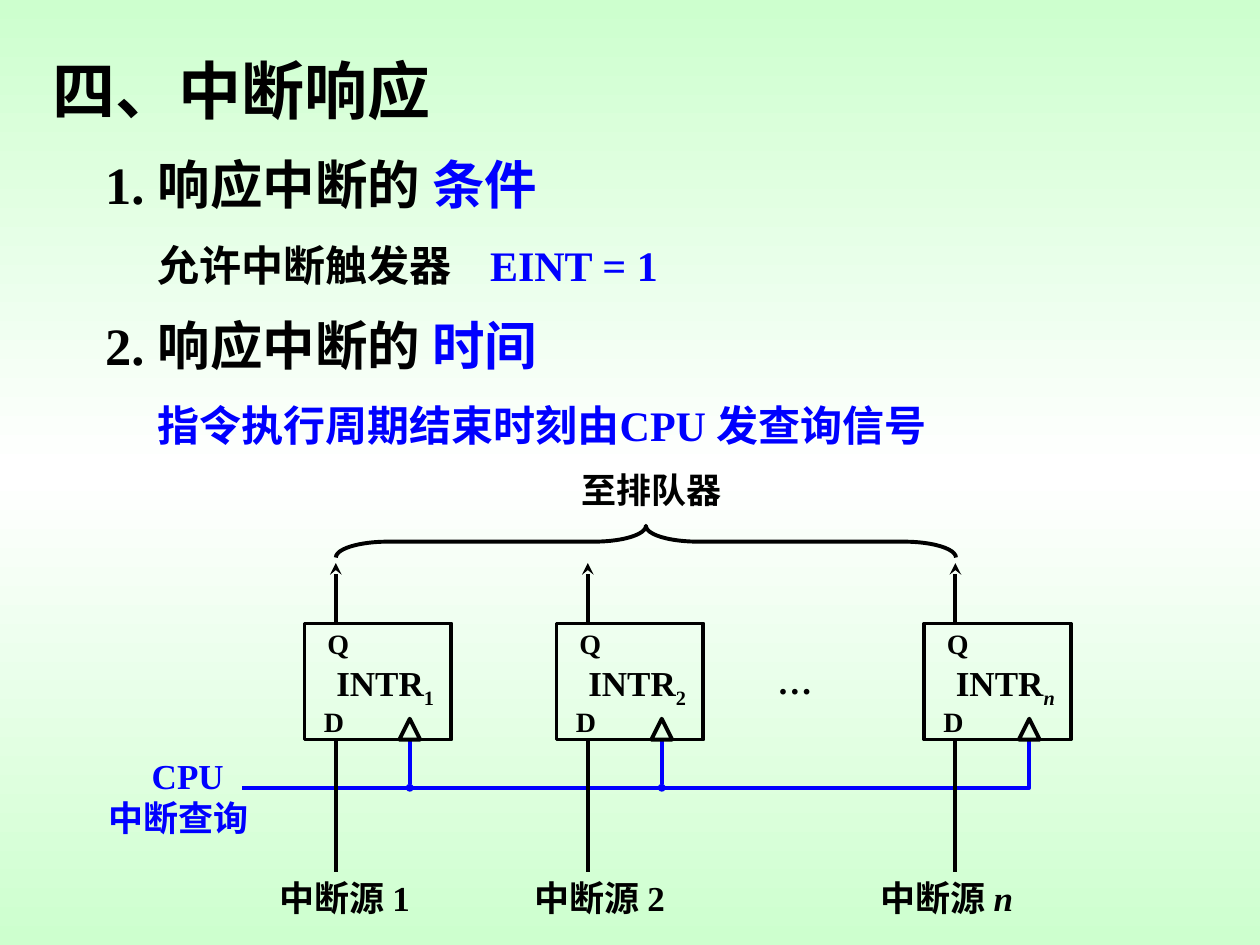
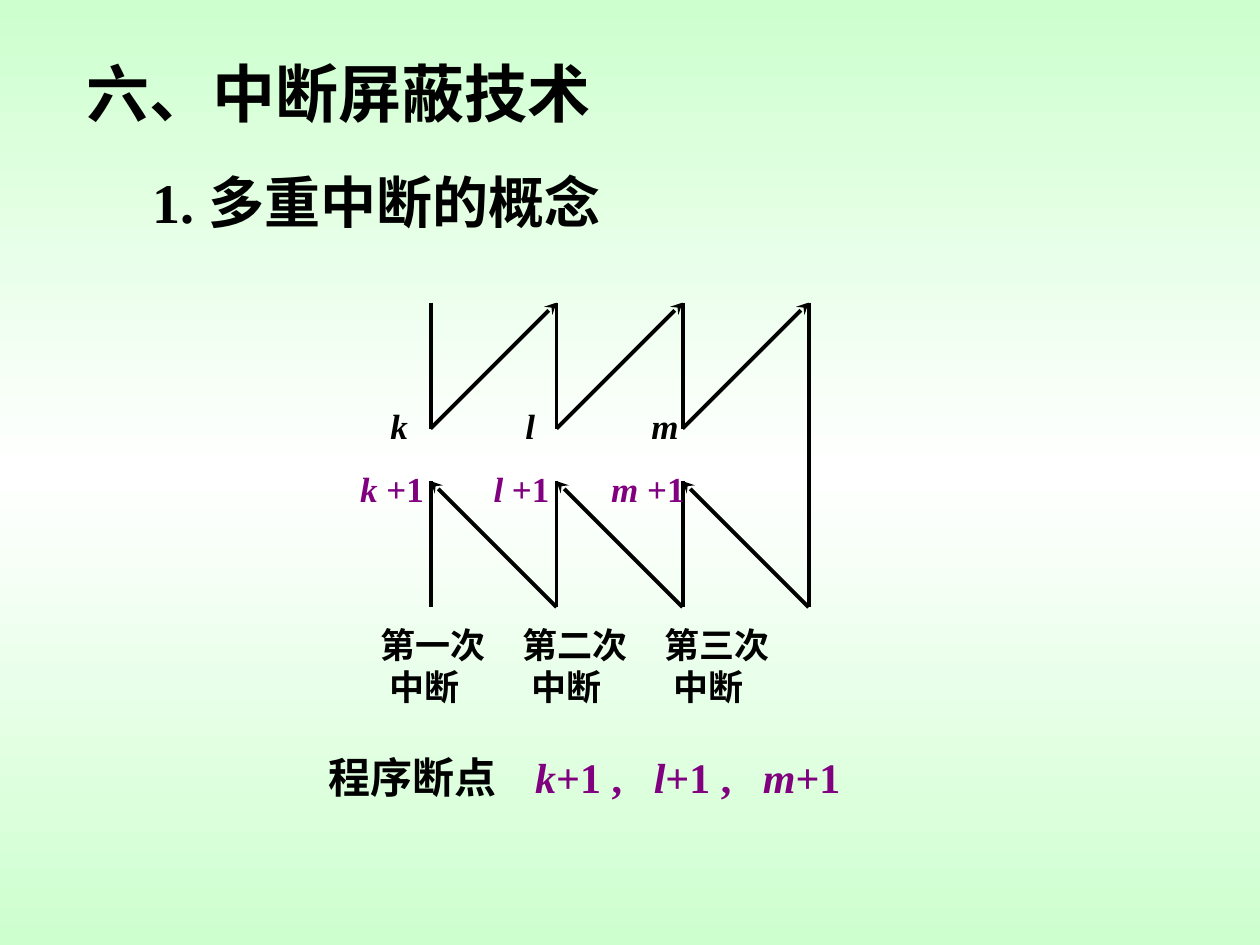
from copy import deepcopy

from lxml import etree
from pptx import Presentation
from pptx.dml.color import RGBColor
from pptx.enum.shapes import MSO_CONNECTOR, MSO_SHAPE
from pptx.enum.text import MSO_ANCHOR
from pptx.oxml.ns import qn
from pptx.util import Cm, Pt

STRAIGHT = MSO_CONNECTOR.STRAIGHT
RECTANGLE = MSO_SHAPE.RECTANGLE
TRIANGLE = MSO_SHAPE.ISOSCELES_TRIANGLE
BRACE = MSO_SHAPE.LEFT_BRACE
MIDDLE = MSO_ANCHOR.MIDDLE

BLACK = RGBColor(0, 0, 0)
BLUE = RGBColor(0, 0, 255)
PURPLE = RGBColor(128, 0, 128)
MINT = RGBColor(0xCD, 0xFF, 0xCE)
WHITE = RGBColor(255, 255, 255)
FONT = "Times New Roman"
LINE_WIDTH = Pt(2.25)
TITLE, LABEL, PIN, BODY, SECTION = 36, 20, 16, 24, 30


def add_text(page, frame, size, paragraphs, heading=False, tabs=()):
    box = page.shapes.add_textbox(*[Cm(length) for length in frame])
    text_frame = box.text_frame
    text_frame.word_wrap = bool(tabs)
    if heading:
        text_frame.vertical_anchor = MIDDLE
        text_frame.margin_left = text_frame.margin_right = 0
    for index, (indent, runs) in enumerate(paragraphs):
        para = text_frame.add_paragraph() if index else text_frame.paragraphs[0]
        properties = para._p.get_or_add_pPr()
        if indent:
            properties.set("marL", str(Cm(indent)))
        if tabs:
            tab_list = etree.SubElement(properties, qn("a:tabLst"))
            for position in tabs:
                etree.SubElement(tab_list, qn("a:tab"), pos=str(Cm(position)), algn="l")
        for words, color, style in runs:
            span = para.add_run()
            span.text = words
            span.font.name = FONT
            span.font.size = Pt(size)
            span.font.bold = True
            span.font.italic = "italic" in style
            span.font.color.rgb = color
            if "sub" in style:
                span._r.get_or_add_rPr().set("baseline", "-25000")


def add_line(page, start, end, color=BLACK, tip=None, tip_size="med"):
    line = page.shapes.add_connector(STRAIGHT, *[Cm(length) for length in start + end])
    line.line.color.rgb = color
    line.line.width = LINE_WIDTH
    if tip:
        etree.SubElement(line.line._get_or_add_ln(), qn("a:tailEnd"),
                         type=tip, w=tip_size, len=tip_size)
    etree.SubElement(line._element.spPr, qn("a:effectLst"))


deck = Presentation()
deck.slide_width = Cm(25.4)
deck.slide_height = Cm(19.05)
fill = deck.slide_master.background.fill
fill.gradient()
fill.gradient_angle = 270
stop_list = deck.slide_master._element.find(".//" + qn("a:gsLst"))
stop_list.append(deepcopy(stop_list[0]))
for stop, position, color in zip(fill.gradient_stops, (0, 0.5, 1), (MINT, WHITE, MINT)):
    stop.position = position
    stop.color.rgb = color
blank = deck.slide_layouts[6]

response = deck.slides.add_slide(blank)
HEADINGS = [
    (1.06, 1.06, TITLE, [("四、中断响应", BLACK, "")], ()),
    (2.12, 2.96, SECTION, [("1. 响应中断的 ", BLACK, ""), ("条件", BLUE, "")], ()),
    (3.18, 4.6, BODY, [("允许中断触发器\t", BLACK, ""), ("EINT = 1", BLUE, "")], (6.7,)),
    (2.12, 6.2, SECTION, [("2. 响应中断的 ", BLACK, ""), ("时间", BLUE, "")], ()),
    (3.18, 7.82, BODY, [("指令执行周期结束时刻由CPU 发查询信号", BLUE, "")], ()),
]
for left, top, size, runs, tabs in HEADINGS:
    add_text(response, (left, top, 18, 1.48), size, [(0, runs)], True, tabs)

add_text(response, (11.48, 9.32, 3.5, 1.12), LABEL, [(0, [("至排队器", BLACK, "")])])
brace = response.shapes.add_shape(BRACE, Cm(12.7), Cm(4.67), Cm(0.64), Cm(12.5))
brace.rotation = 90
brace.adjustments[0] = 1.64
outlined = [brace]

REGISTER_TOP, REGISTER_BOTTOM, BUS_Y = 12.57, 14.91, 15.88
PIN_X, CLOCK_X = 0.63, 2.12
REGISTERS = [
    (6.14, "1", "", 5.38),
    (11.22, "2", "", 10.52),
    (18.63, "n", "italic", 17.5),
]
bus_end = REGISTERS[-1][0] + CLOCK_X
builder = response.shapes.build_freeform(Cm(4.88), Cm(BUS_Y))
builder.add_line_segments(
    [(Cm(bus_end), Cm(BUS_Y)), (Cm(bus_end), Cm(REGISTER_BOTTOM))], close=False
)
bus = builder.convert_to_shape()

for left, number, style, source_left in REGISTERS:
    pin, clock = left + PIN_X, left + CLOCK_X
    add_line(response, (pin, REGISTER_TOP), (pin, 11.35), tip="stealth")
    add_line(response, (pin, REGISTER_BOTTOM), (pin, 17.58))
    if clock != bus_end:
        add_line(response, (clock, REGISTER_BOTTOM), (clock, BUS_Y), BLUE, "oval", "sm")
    outlined.append(response.shapes.add_shape(
        RECTANGLE, Cm(left), Cm(REGISTER_TOP), Cm(2.96), Cm(REGISTER_BOTTOM - REGISTER_TOP)))
    outlined.append(response.shapes.add_shape(
        TRIANGLE, Cm(clock - 0.21), Cm(REGISTER_BOTTOM - 0.42), Cm(0.42), Cm(0.42)))
    add_text(response, (left + 0.39, 13.21, 2.9, 1.22), LABEL,
             [(0, [("INTR", BLACK, ""), (number, BLACK, "sub " + style)])])
    add_text(response, (left + 0.21, 12.5, 1.1, 0.94), PIN, [(0, [("Q", BLACK, "")])])
    add_text(response, (left + 0.14, 14.07, 1.1, 0.94), PIN, [(0, [("D", BLACK, "")])])
    add_text(response, (source_left, 17.55, 3.8, 1.12), LABEL,
             [(0, [("中断源 ", BLACK, ""), (number, BLACK, style)])])

for shape in outlined + [bus]:
    shape.shadow.inherit = False
    shape.fill.background()
    shape.line.color.rgb = BLUE if shape is bus else BLACK
    shape.line.width = LINE_WIDTH

add_text(response, (15.42, 13.18, 1.4, 1.12), LABEL, [(0, [("…", BLACK, "")])])
add_text(response, (1.93, 15.09, 3.5, 1.96), LABEL,
         [(0.88, [("CPU", BLUE, "")]), (0, [("中断查询", BLUE, "")])])

masking = deck.slides.add_slide(blank)
add_text(masking, (1.75, 0.97, 12, 1.78), TITLE, [(0, [("六、中断屏蔽技术", BLACK, "")])], True)
add_text(masking, (3.07, 3.45, 12, 1.19), 32, [(0, [("1. 多重中断的概念", BLACK, "")])], True)

FIRST_X, STEP = 8.68, 2.54
CALL_TOP, CALL_BOTTOM = 6.1, 8.64
RETURN_TOP, RETURN_BOTTOM = 9.7, 12.24
LEVELS = [
    ("k", 7.62, 7.01, "第一次"),
    ("l", 10.34, 9.7, "第二次"),
    ("m", 12.88, 12.07, "第三次"),
]
for index, (letter, left, next_left, ordinal) in enumerate(LEVELS):
    x = FIRST_X + index * STEP
    add_line(masking, (x, CALL_TOP), (x, CALL_BOTTOM))
    add_line(masking, (x, CALL_BOTTOM), (x + STEP, CALL_TOP), tip="stealth")
    add_line(masking, (x + STEP, RETURN_BOTTOM), (x, RETURN_TOP), tip="stealth")
    add_line(masking, (x, RETURN_TOP), (x, RETURN_BOTTOM))
    add_text(masking, (left, 8.03, 1.2, 1.12), LABEL, [(0, [(letter, BLACK, "italic")])])
    add_text(masking, (next_left, 9.3, 2.3, 1.12), LABEL,
             [(0, [(letter, PURPLE, "italic"), (" +1", PURPLE, "")])])
    add_text(masking, (7.42 + index * 2.86, 12.45, 2.8, 1.96), LABEL,
             [(0, [(ordinal, BLACK, "")]), (0.18, [("中断", BLACK, "")])])
last_x = FIRST_X + len(LEVELS) * STEP
add_line(masking, (last_x, CALL_TOP), (last_x, RETURN_BOTTOM))

breakpoints = [("程序断点\t", BLACK, "")]
for letter, ending in zip("klm", ("+1 ,\t", "+1 ,\t", "+1")):
    breakpoints += [(letter, PURPLE, "italic"), (ending, PURPLE, "")]
add_text(masking, (6.38, 15.02, 12.24, 1.27), BODY, [(0, breakpoints)], tabs=(4.16, 6.55, 8.75))

deck.save("out.pptx")
